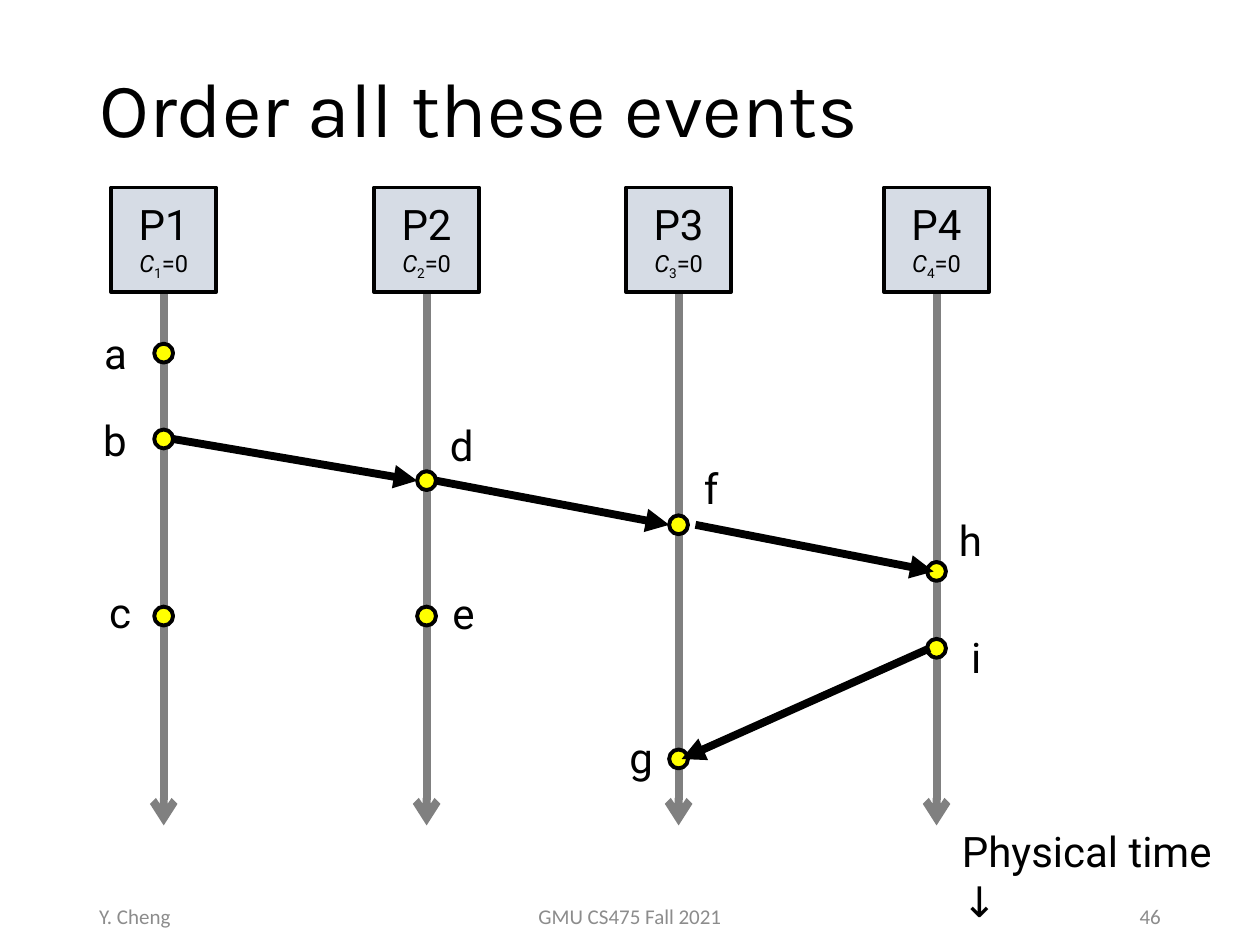
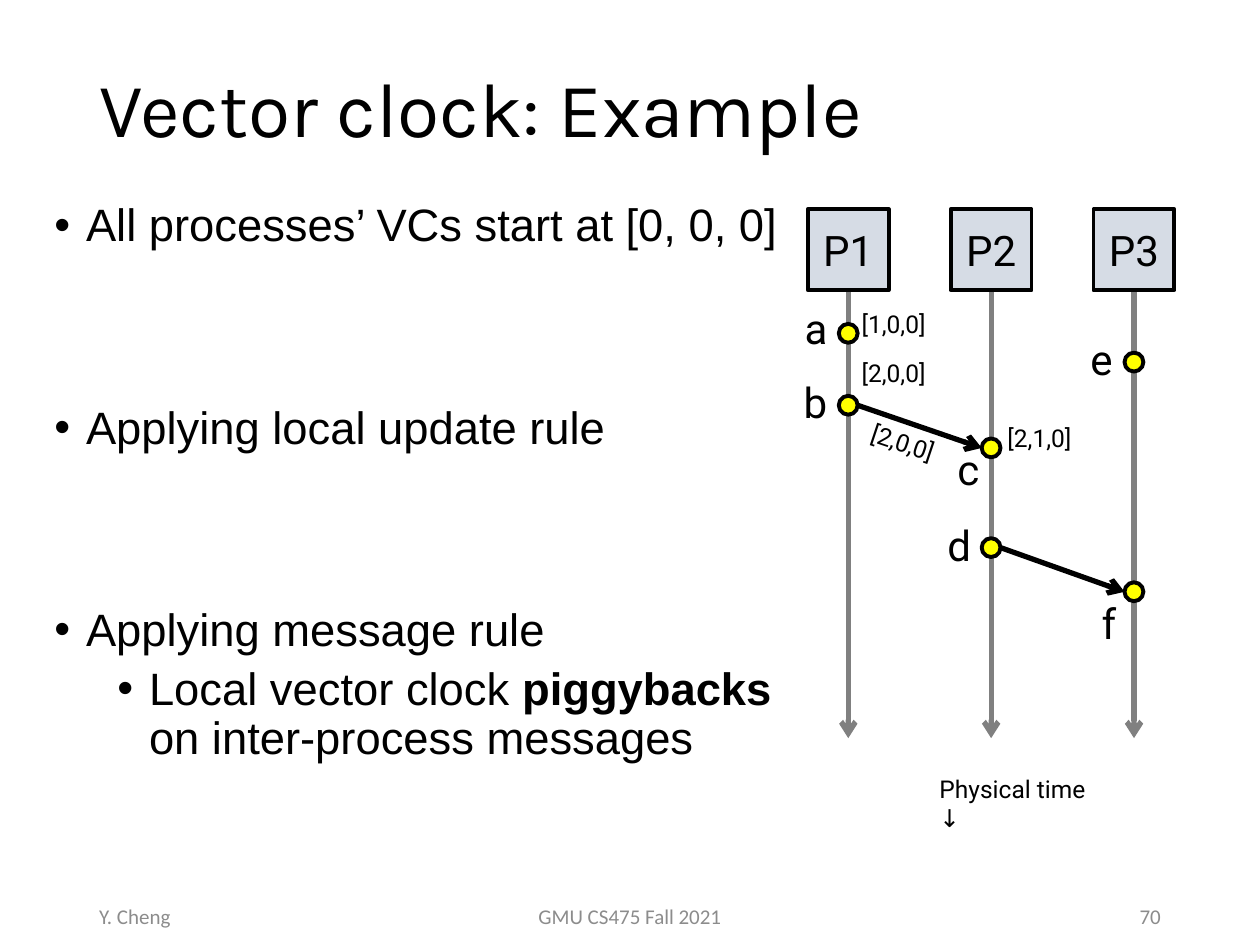
from dataclasses import dataclass, field

from lxml import etree
from pptx import Presentation
from pptx import util as u
from pptx.dml import color
from pptx.enum import shapes, text
from pptx.oxml import ns

BLACK, GREY, FOOTER_GREY = "000000", "808080", "8C8C8C"
PROCESS_FILL, EVENT_FILL = "D6DCE5", "FFFF00"
TITLE_FONT, BODY_FONT, LABEL_FONT, FOOTER_FONT = "Karla", "Arial", "Roboto", "Calibri"
EVENT_SIZE = 0.38
EDGE = EVENT_SIZE / 2
LEFT, CENTER, RIGHT = text.PP_ALIGN.LEFT, text.PP_ALIGN.CENTER, text.PP_ALIGN.RIGHT
MIDDLE = text.MSO_ANCHOR.MIDDLE


@dataclass
class Diagram:
    """Space-time diagram; all lengths in cm, positions relative to its box."""
    box: tuple            # left, top on the slide
    columns: list         # centre of each time line
    process_size: float
    line_end: float
    line_width: float
    message_head: str
    events: dict          # name: (column, y, label dx, label dy)
    messages: list        # (from, to, start gap, end gap)
    time_label: tuple     # left, top, width, height, font size
    counters: bool = False
    vectors: list = field(default_factory=list)  # (text, left, top, rotation)


# ---------- Shared helpers ----------

def rgb(value):
    return color.RGBColor.from_string(value)


def apply(target, values):
    for name, value in values.items():
        setattr(target, name, value)


def place(shape, left, top, width, height):
    apply(shape, {"left": u.Cm(left), "top": u.Cm(top),
                  "width": u.Cm(width), "height": u.Cm(height)})


def add_run(paragraph, words, font_name, size, hex_color=BLACK, **values):
    run = paragraph.add_run()
    run.text = words
    apply(run.font, {"name": font_name, "size": u.Pt(size), **values})
    run.font.color.rgb = rgb(hex_color)
    return run


def add_label(slide, words, box, size, font_name=LABEL_FONT, hex_color=BLACK,
              alignment=LEFT, **frame_values):
    label = slide.shapes.add_textbox(*map(u.Cm, box))
    apply(label.text_frame, {"word_wrap": True, **frame_values})
    paragraph = label.text_frame.paragraphs[0]
    paragraph.alignment = alignment
    add_run(paragraph, words, font_name, size, hex_color)
    return label


def add_outlined(slide, preset, box, fill):
    shape = slide.shapes.add_shape(preset, *map(u.Cm, box))
    shape.shadow.inherit = False
    shape.fill.solid()
    shape.fill.fore_color.rgb = rgb(fill)
    shape.line.color.rgb = rgb(BLACK)
    shape.line.width = u.Pt(2.25)
    return shape


def add_arrow(slide, start, end, hex_color, width, head):
    arrow = slide.shapes.add_connector(
        shapes.MSO_CONNECTOR.STRAIGHT, *map(u.Cm, (*start, *end)))
    arrow.line.color.rgb = rgb(hex_color)
    arrow.line.width = u.Pt(width)
    line = arrow.line._get_or_add_ln()
    etree.SubElement(line, ns.qn("a:tailEnd"), type=head)
    etree.SubElement(arrow._element.spPr, ns.qn("a:effectLst"))


# ---------- Title and footer ----------

def add_title(slide, words):
    title = slide.shapes.title
    place(title, 1.75, 0.43, 21.9, 3.68)
    apply(title.text_frame, {"vertical_anchor": MIDDLE, "word_wrap": True,
                             "auto_size": text.MSO_AUTO_SIZE.NONE})
    paragraph = title.text_frame.paragraphs[0]
    apply(paragraph, {"alignment": LEFT, "line_spacing": 0.9})
    add_run(paragraph, words, TITLE_FONT, 44)


def add_footer(slide, number):
    parts = [("Y. Cheng", 1.75, 5.72, LEFT),
             ("GMU CS475 Fall 2021", 8.41, 8.58, CENTER),
             (str(number), 17.93, 5.72, RIGHT)]
    for words, left, width, alignment in parts:
        add_label(slide, words, (left, 17.96, width, 1.02), 12, FOOTER_FONT,
                  FOOTER_GREY, alignment, vertical_anchor=MIDDLE)


# ---------- Bulleted list ----------

def add_bullets(slide, box, items):
    body = slide.placeholders[1]
    place(body, *box)
    frame = body.text_frame
    apply(frame, {"word_wrap": True, "auto_size": text.MSO_AUTO_SIZE.NONE,
                  "vertical_anchor": text.MSO_ANCHOR.TOP})
    for index, (level, space_before, runs) in enumerate(items):
        paragraph = frame.add_paragraph() if index else frame.paragraphs[0]
        apply(paragraph, {"level": level, "alignment": LEFT, "line_spacing": 0.9,
                          "space_before": u.Pt(space_before)})
        properties = paragraph._p.get_or_add_pPr()
        properties.set("marL", str(u.Cm(0.64 + 1.27 * level)))
        properties.set("indent", str(u.Cm(-0.64)))
        etree.SubElement(properties, ns.qn("a:buFont"), typeface=BODY_FONT)
        etree.SubElement(properties, ns.qn("a:buChar"), char="•")
        for words, bold in runs:
            add_run(paragraph, words, BODY_FONT, 25.9, bold=bold)


# ---------- Space-time diagram ----------

def add_process(slide, number, box, counter):
    process = add_outlined(slide, shapes.MSO_SHAPE.FLOWCHART_PROCESS, box, PROCESS_FILL)
    frame = process.text_frame
    apply(frame, {"vertical_anchor": MIDDLE, "margin_left": 0, "margin_right": 0})
    paragraph = frame.paragraphs[0]
    paragraph.alignment = CENTER
    add_run(paragraph, f"P{number}", LABEL_FONT, 24)
    if counter:
        paragraph = frame.add_paragraph()
        paragraph.alignment = CENTER
        add_run(paragraph, "C", LABEL_FONT, 13.5, italic=True)
        subscript = add_run(paragraph, str(number), LABEL_FONT, 13.5)
        subscript.font._element.set("baseline", "-25000")
        add_run(paragraph, "=0", LABEL_FONT, 13.5)


def add_diagram(slide, diagram):
    left, top = diagram.box
    size = diagram.process_size

    # Time lines, then the processes that own them
    for x in diagram.columns:
        add_arrow(slide, (left + x, top + size), (left + x, top + diagram.line_end),
                  GREY, diagram.line_width, "arrow")
    for number, x in enumerate(diagram.columns, 1):
        add_process(slide, number, (left + x - size / 2, top, size, size),
                    diagram.counters)

    # Events and their letters
    centres = {}
    for name, (column, y, dx, dy) in diagram.events.items():
        x, y = centres[name] = left + diagram.columns[column], top + y
        add_outlined(slide, shapes.MSO_SHAPE.OVAL,
                     (x - EDGE, y - EDGE, EVENT_SIZE, EVENT_SIZE), EVENT_FILL)
        add_label(slide, name, (x + dx, y + dy, 1, 1.27), 24)

    # Messages between processes
    for source, target, start_gap, end_gap in diagram.messages:
        (x1, y1), (x2, y2) = centres[source], centres[target]
        add_arrow(slide, (x1 + start_gap, y1), (x2 + end_gap, y2),
                  BLACK, diagram.line_width, diagram.message_head)

    # Vector clock values
    for words, x, y, rotation in diagram.vectors:
        label = add_label(slide, words, (left + x, top + y, 1.9, 0.86), 14)
        label.rotation = rotation

    # Time direction; the right margin drops the arrow to a second line
    x, y, width, height, font_size = diagram.time_label
    add_label(slide, "Physical time ↓", (left + x, top + y, width, height),
              font_size, margin_right=u.Cm(0.45))


# ---------- Slides ----------

ORDER_DIAGRAM = Diagram(
    box=(2.24, 3.78), columns=[1.06, 6.36, 11.44, 16.64], process_size=2.11,
    line_end=12.86, line_width=4.5, message_head="triangle", counters=True,
    events={"a": (0, 3.34, -1.45, -0.65), "b": (0, 5.07, -1.47, -0.62),
            "c": (0, 8.64, -1.35, -0.72), "d": (1, 5.91, 0.22, -1.36),
            "e": (1, 8.64, 0.27, -0.7), "f": (2, 6.8, 0.26, -1.38),
            "g": (2, 11.52, -1.24, -0.67), "h": (3, 7.74, 0.2, -1.28),
            "i": (3, 9.29, 0.45, -0.47)},
    messages=[("b", "d", EDGE, -EDGE), ("d", "f", EDGE, -EDGE),
              ("f", "h", 0.34, -0.06), ("i", "g", -0.14, 0.06)],
    time_label=(16.9, 12.73, 6.22, 1.27, 24))

VECTOR_DIAGRAM = Diagram(
    box=(16.28, 4.22), columns=[0.82 + 2.88 * i for i in range(3)],
    process_size=1.63, line_end=10.66, line_width=3, message_head="arrow",
    events={"a": (0, 2.5, -1.13, -0.75), "b": (0, 3.95, -1.15, -0.7),
            "c": (1, 4.81, -0.93, -0.22), "d": (1, 6.82, -1.13, -0.7),
            "e": (2, 3.08, -1.13, -0.7), "f": (2, 7.71, -0.9, 0)},
    messages=[("b", "c", EDGE, -EDGE), ("d", "f", EDGE, -EDGE)],
    time_label=(2.41, 11.25, 3.84, 0.86, 14),
    vectors=[("[1,0,0]", 0.84, 1.88, 0), ("[2,0,0]", 0.84, 2.87, 0),
             ("[2,0,0]", 1.02, 4.29, 18.5), ("[2,1,0]", 3.78, 4.19, 0)])

VECTOR_RULES = [
    (0, 0, [("All processes’ VCs start at [0, 0, 0]", False)]),
    (0, 87.5, [("Applying local update rule", False)]),
    (0, 87.5, [("Applying message rule", False)]),
    (1, 6, [("Local vector clock ", False), ("piggybacks", True),
            (" on inter-process messages", False)])]


def add_slide(presentation, layout, title, number, diagram):
    slide = presentation.slides.add_slide(presentation.slide_layouts[layout])
    add_title(slide, title)
    add_footer(slide, number)
    add_diagram(slide, diagram)
    return slide


def main():
    presentation = Presentation()
    apply(presentation, {"slide_width": u.Cm(25.4), "slide_height": u.Cm(19.05)})
    add_slide(presentation, 5, "Order all these events", 46, ORDER_DIAGRAM)
    example = add_slide(presentation, 1, "Vector clock: Example", 70, VECTOR_DIAGRAM)
    add_bullets(example, (0.84, 3.96, 15.16, 12.32), VECTOR_RULES)
    presentation.save("out.pptx")


if __name__ == "__main__":
    main()
